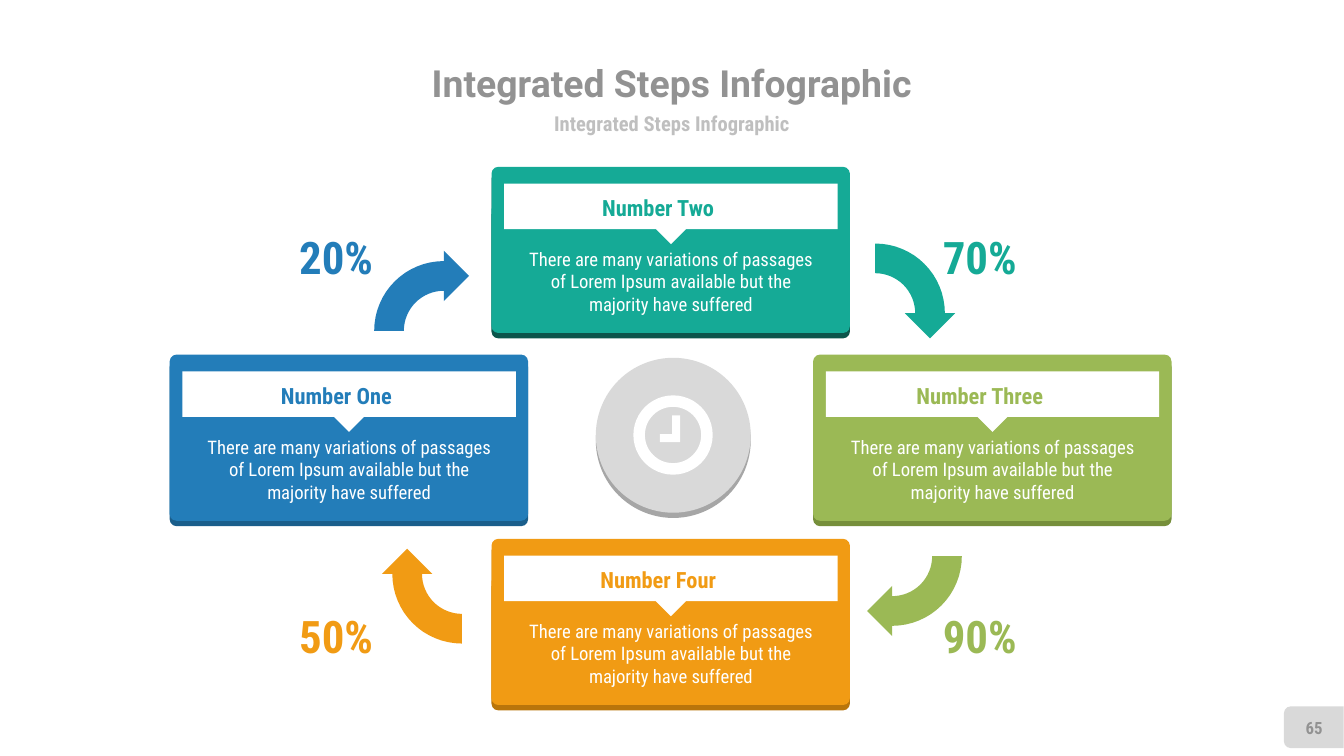
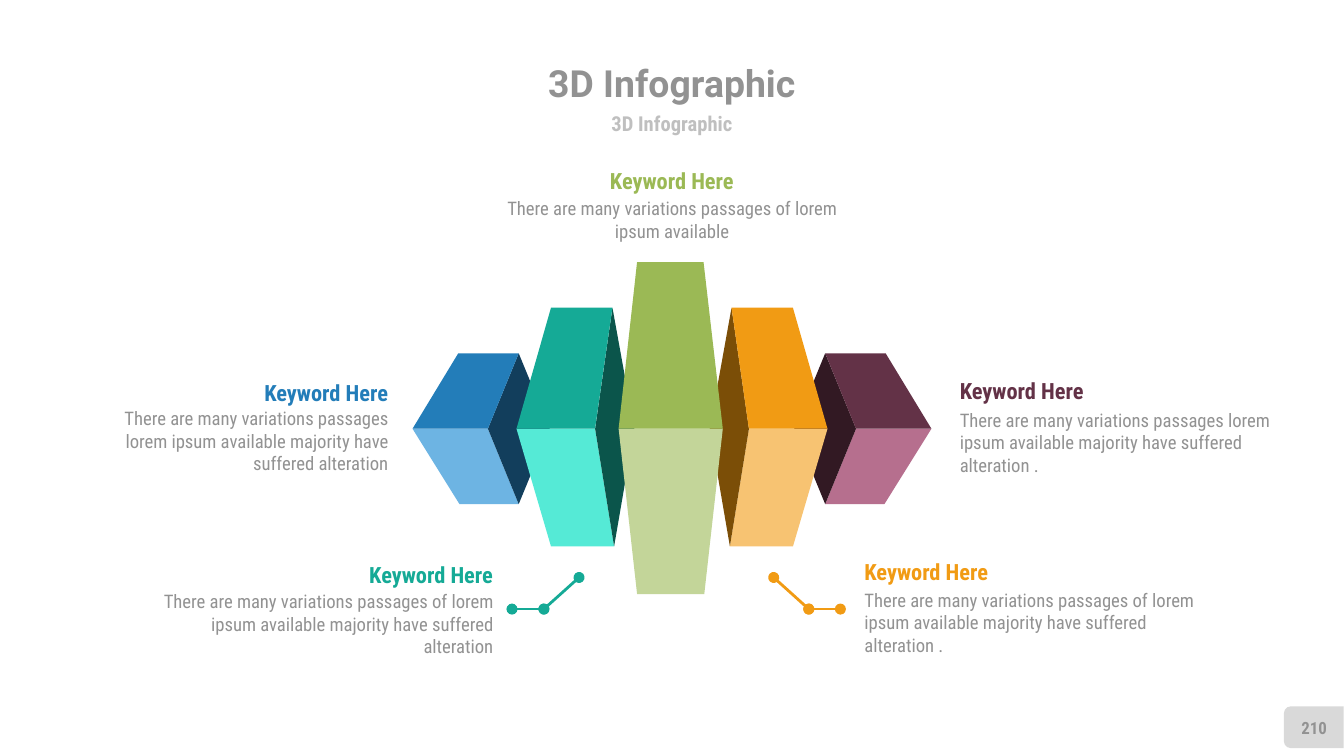
from math import cos, pi, sin

from lxml import etree
from pptx import Presentation
from pptx.dml.color import RGBColor
from pptx.enum.shapes import MSO_CONNECTOR, MSO_SHAPE
from pptx.enum.text import MSO_ANCHOR, MSO_AUTO_SIZE, PP_ALIGN
from pptx.oxml.ns import qn
from pptx.util import Pt

LEFT, CENTER, RIGHT = PP_ALIGN.LEFT, PP_ALIGN.CENTER, PP_ALIGN.RIGHT
TOP, MIDDLE, BOTTOM = MSO_ANCHOR.TOP, MSO_ANCHOR.MIDDLE, MSO_ANCHOR.BOTTOM
ROUNDED, OVAL = MSO_SHAPE.ROUNDED_RECTANGLE, MSO_SHAPE.OVAL
CALLOUT, RING = MSO_SHAPE.DOWN_ARROW_CALLOUT, MSO_SHAPE.DONUT
TAB = MSO_SHAPE.ROUND_2_SAME_RECTANGLE

HEAD_FONT, TEXT_FONT = "Roboto", "Roboto Condensed"
COLORS = {
    "white": "FFFFFF", "tab": "D9D9D9", "disc edge": "A6A6A6",
    "title": "929292", "subtitle": "BFBFBF", "text": "929292",
    "blue": "237DB9", "blue edge": "1A5E8B", "blue light": "6DB4E3", "blue dark": "123E5C",
    "teal": "15AA96", "teal edge": "0B554B", "teal light": "55EAD6", "teal dark": "0B554B",
    "green": "9BB955", "green edge": "768F3B", "green light": "C3D599",
    "orange": "F19B14", "orange edge": "B9750B", "orange light": "F7C372", "orange dark": "7B4E07",
    "plum": "633247", "plum light": "B66F8E", "plum dark": "321923",
}

# Slide 65: steps around a clock
STEP_TEXT = ("There are many variations of passages of Lorem Ipsum available "
             "but the majority have suffered")
CARD_W, CARD_H = 192, 89
STEPS = [  # heading, colour, card left and top
    ("Number Three", "green", 435.6, 190),
    ("Number One", "blue", 90.9, 190),
    ("Number Two", "teal", 263.3, 89.4),
    ("Number Four", "orange", 263.3, 288.7),
]
ARROWS = [  # share, colour, label left and top, centre of the arc; each a quarter turn on
    ("20%", "blue", 160.6, 123, 237.8, 177.2),
    ("70%", "teal", 505.4, 123, 468.9, 167.8),
    ("90%", "green", 505.4, 326.2, 478, 298),
    ("50%", "orange", 160.6, 326.2, 247.5, 307.5),
]
ARROW_OUTER, ARROW_INNER, ARROW_HEAD = 37.3, 21.4, 13.5
CLOCK_HANDS = [(360, 222.5), (364.3, 222.5), (364.3, 236.9),
               (353.5, 236.9), (353.5, 232.6), (360, 232.6)]

# Slide 210: folded blocks, x counted from the middle of the slide
MID_X, FOLD_Y = 360, 229.7
OUTER = {"up": 40.4, "down": 40.4, "top": (82.1, 114.5), "bottom": (82.1, 113.8),
         "fold": (98.6, 139), "back": 65.5}
INNER = {"up": 64.8, "down": 63, "top": (31.9, 64.8), "bottom": (31, 64.8),
         "fold": (41.2, 83.3), "back": 20.2}
MIDDLE_BLOCK = {"up": 89.3, "down": 88.6, "top": (-18.7, 16.9), "bottom": (-18.7, 17.3),
                "fold": (-28.6, 27.2), "back": None}
BLOCKS = [("plum", OUTER, 1), ("orange", INNER, 1), ("blue", OUTER, -1),
          ("teal", INNER, -1), ("green", MIDDLE_BLOCK, 1)]
POINTERS = [
    ("teal", [(310.2, 309.4), (291.4, 326.3), (274.3, 326.3)]),
    ("orange", [(414.5, 309.4), (433.3, 326.3), (450.2, 326.3)]),
]
KEYWORD, KEYWORD_W = "Keyword Here", 81.4
KEYWORDS = [  # colour, alignment, left, width, heading top, text top, text
    ("orange", LEFT, 463.1, 179, 299, 315.4, "There are many variations passages of lorem "
     "ipsum available majority have suffered alteration ."),
    ("plum", LEFT, 514.2, 179, 202, 219, "There are many variations passages lorem "
     "ipsum available majority have suffered alteration ."),
    ("green", CENTER, 270.5, 179, 89.4, 105.6,
     "There are many variations passages of lorem ipsum available"),
    ("teal", RIGHT, 85.2, 179, 300.9, 316.1, "There are many variations passages of lorem "
     "ipsum available majority have suffered alteration"),
    ("blue", RIGHT, 44, 164, 203, 218.1, "There are many variations passages lorem "
     "ipsum available majority have suffered alteration"),
]
ALIGN_SHARE = {LEFT: 0, CENTER: 0.5, RIGHT: 1}


def rgb(color):
    return RGBColor.from_string(COLORS[color])


def paint(shape, color):
    shape.shadow.inherit = False
    shape.fill.solid()
    shape.fill.fore_color.rgb = rgb(color)
    shape.line.fill.background()
    return shape


def add_block(slide, kind, box, color, adjustments=()):
    shape = paint(slide.shapes.add_shape(kind, *map(Pt, box)), color)
    for i, value in enumerate(adjustments):
        shape.adjustments[i] = value
    return shape


def add_polygon(slide, points, color):
    start, *rest = [(Pt(x), Pt(y)) for x, y in points]
    builder = slide.shapes.build_freeform(*start)
    builder.add_line_segments(rest, close=True)
    return paint(builder.convert_to_shape(), color)


def write(shape, text, size, color, align, anchor=TOP, bold=False, font=TEXT_FONT, wrap=True):
    frame = shape.text_frame
    frame.margin_left = frame.margin_right = frame.margin_top = frame.margin_bottom = 0
    frame.auto_size = MSO_AUTO_SIZE.NONE
    frame.word_wrap = wrap
    frame.vertical_anchor = anchor
    paragraph = frame.paragraphs[0]
    paragraph.alignment = align
    paragraph.space_before = Pt(0)
    run = paragraph.add_run()
    run.text = text
    run.font.size = Pt(size)
    run.font.name = font
    run.font.bold = bold
    run.font.color.rgb = rgb(color)


def add_text(slide, box, *args, **options):
    write(slide.shapes.add_textbox(*map(Pt, box)), *args, **options)


def place(shape, box):
    shape.left, shape.top, shape.width, shape.height = map(Pt, box)


def start_slide(deck, title, number):
    """Add a slide with title, subtitle and page tab."""
    slide = deck.slides.add_slide(deck.slide_layouts[1])
    heading, subtitle = slide.placeholders
    place(heading, (138, 30.2, 444, 28))
    write(heading, title, 20, "title", CENTER, MIDDLE, True, HEAD_FONT, wrap=False)
    place(subtitle, (198, 58.3, 324, 16))
    properties = subtitle.text_frame.paragraphs[0]._p.get_or_add_pPr()
    properties.set("marL", "0")
    properties.set("indent", "0")
    etree.SubElement(properties, qn("a:buNone"))
    write(subtitle, title, 11, "subtitle", CENTER, MIDDLE, True, wrap=False)
    tab = add_block(slide, TAB, (692.6, 373.6, 22.4, 32), "tab")
    tab.rotation = 270
    add_text(slide, (689, 379, 30, 21.6), number, 9, "title", CENTER, MIDDLE, True)
    return slide


def add_step(slide, heading, color, x, y):
    add_block(slide, ROUNDED, (x, y + 2.9, CARD_W, CARD_H), color + " edge", [0.041])
    add_block(slide, ROUNDED, (x, y, CARD_W, CARD_H), color, [0.041])
    add_block(slide, CALLOUT, (x + 6.8, y + 9, 178.6, 32.4), "white", [0.25, 0.25, 0.25, 0.75])
    add_text(slide, (x + 48.3, y + 14.8, 82, 14.4), heading, 12, color, CENTER, MIDDLE, True)
    add_text(slide, (x + 16.6, y + 43.4, 159, 36), STEP_TEXT, 10, "white", CENTER, MIDDLE)


def arrow_points(turns, center_x, center_y):
    """Outline of a quarter-ring arrow, turned clockwise by quarter turns."""
    steps = 16
    angles = [pi + pi / 2 * i / steps for i in range(steps + 1)]
    middle = (ARROW_OUTER + ARROW_INNER) / 2
    outline = [(ARROW_OUTER * cos(a), ARROW_OUTER * sin(a)) for a in angles]
    outline += [(0, -middle - ARROW_HEAD), (ARROW_HEAD, -middle), (0, -middle + ARROW_HEAD)]
    outline += [(ARROW_INNER * cos(a), ARROW_INNER * sin(a)) for a in reversed(angles)]
    for _ in range(turns):
        outline = [(-y, x) for x, y in outline]
    return [(center_x + x, center_y + y) for x, y in outline]


def add_folded_block(slide, color, block, side):
    """Draw a block's lower, rear and upper faces; side -1 mirrors it to the left."""
    def face(points, shade):
        add_polygon(slide, [(MID_X + side * x, FOLD_Y + y) for x, y in points], shade)

    near, far = block["fold"]
    (top_near, top_far), (low_near, low_far) = block["top"], block["bottom"]
    up, down = -block["up"], block["down"]
    face([(near, 0), (far, 0), (low_far, down), (low_near, down)], color + " light")
    if block["back"] is not None:
        face([(block["back"], 0), (top_near, up), (near, 0), (low_near, down)], color + " dark")
    face([(near, 0), (top_near, up), (top_far, up), (far, 0)], color)


def add_pointer(slide, color, points):
    for start, end in zip(points, points[1:]):
        connector = slide.shapes.add_connector(MSO_CONNECTOR.STRAIGHT, *map(Pt, start + end))
        connector.line.color.rgb = rgb(color)
        connector.line.width = Pt(1.5)
        line = connector.line._get_or_add_ln()
        for tag in ("a:headEnd", "a:tailEnd"):
            etree.SubElement(line, qn(tag), type="oval")
        etree.SubElement(connector._element.spPr, qn("a:effectLst"))


def build_steps(deck):
    slide = start_slide(deck, "Integrated Steps Infographic", "65")
    for step in STEPS:
        add_step(slide, *step)
    for turns, (share, color, x, y, center_x, center_y) in enumerate(ARROWS):
        add_polygon(slide, arrow_points(turns, center_x, center_y), color)
        add_text(slide, (x, y, 39, 28.8), share, 24, color, CENTER, BOTTOM, True, wrap=False)
    add_block(slide, OVAL, (319.2, 194.5, 83, 83), "disc edge")
    add_block(slide, OVAL, (319.2, 191.7, 83, 83), "tab")
    add_block(slide, RING, (339.3, 211.8, 42.5, 42.5), "white", [0.145])
    add_polygon(slide, CLOCK_HANDS, "white")


def build_blocks(deck):
    slide = start_slide(deck, "3D Infographic", "210")
    for block in BLOCKS:
        add_folded_block(slide, *block)
    for pointer in POINTERS:
        add_pointer(slide, *pointer)
    for color, align, x, width, heading_y, text_y, text in KEYWORDS:
        heading_x = x + ALIGN_SHARE[align] * (width - KEYWORD_W)
        add_text(slide, (x, text_y, width, 36), text, 10, "text", align)
        add_text(slide, (heading_x, heading_y, KEYWORD_W, 14.4), KEYWORD, 12, color, align,
                 bold=True)


def main():
    deck = Presentation()
    deck.slide_width, deck.slide_height = Pt(720), Pt(405)
    build_steps(deck)
    build_blocks(deck)
    deck.save("out.pptx")


if __name__ == "__main__":
    main()
